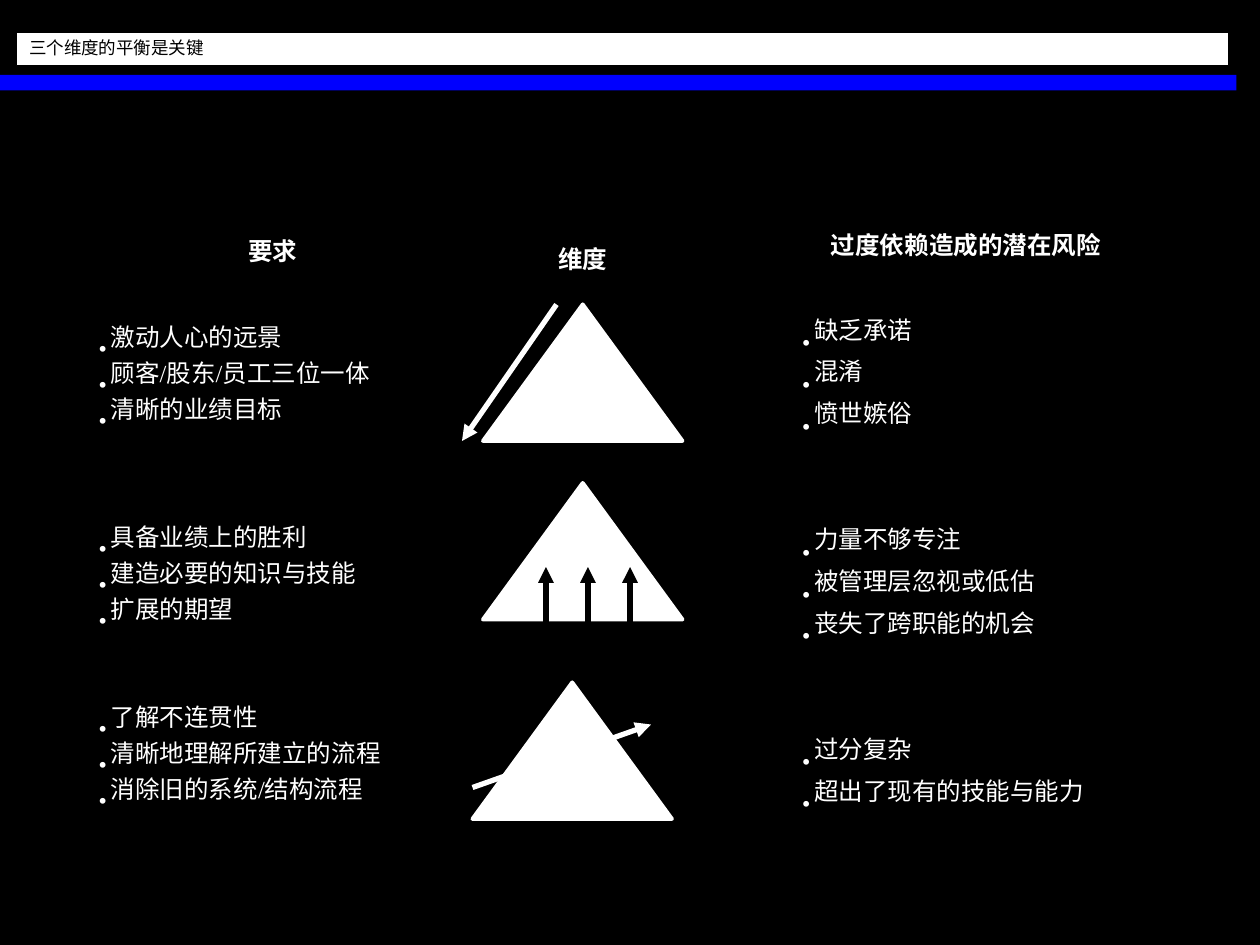
from dataclasses import dataclass

from lxml import etree
from pptx import Presentation
from pptx.dml.color import RGBColor
from pptx.enum import shapes, text
from pptx.oxml import ns
from pptx.util import Pt

BLACK = RGBColor(0x00, 0x00, 0x00)
WHITE = RGBColor(0xFF, 0xFF, 0xFF)
BLUE = RGBColor(0x00, 0x00, 0xFE)
LIST_FONT = "Times New Roman"
TITLE_FONT = "Noto Sans CJK SC"
HANG = 8
ITEM_GAP = 10.5


@dataclass
class Column:
    """A heading with groups of points; group_gaps is the space before each group."""
    left: float
    top: float
    width: float
    height: float
    heading: str
    heading_spacing: float
    item_spacing: float
    groups: list[list[str]]
    group_gaps: list[float]


@dataclass
class Arrow:
    start: tuple[float, float]
    end: tuple[float, float]
    color: RGBColor = WHITE


REQUIREMENTS = Column(
    48, 83.5, 216, 426, "要求", 1.0, 0.6,
    [["激动人心的远景", "顾客/股东/员工三位一体", "清晰的业绩目标"],
     ["具备业绩上的胜利", "建造必要的知识与技能", "扩展的期望"],
     ["了解不连贯性", "清晰地理解所建立的流程", "消除旧的系统/结构流程"]],
    [38.5, 63, 51.6])
RISKS = Column(
    450, 96.5, 204, 402, "过度依赖造成的潜在风险", 0.8, 0.8,
    [["缺乏承诺", "混淆", "愤世嫉俗"],
     ["力量不够专注", "被管理层忽视或低估", "丧失了跨职能的机会"],
     ["过分复杂", "超出了现有的技能与能力"]],
    [34.6, 58.6, 58.6])
PYRAMIDS = [(276, 174), (276, 276), (270, 390)]
ARROWS = [
    Arrow((318, 174), (264, 252)),
    *[Arrow((x, 360), (x, 324), BLACK) for x in (312, 336, 360)],
    Arrow((270, 450), (372, 414)),
]


def apply(target, **values) -> None:
    for name, value in values.items():
        setattr(target, name, value)


def place(shape, left: float, top: float, width: float, height: float) -> None:
    apply(shape, left=Pt(left), top=Pt(top), width=Pt(width), height=Pt(height))


def set_frame(frame, anchor) -> None:
    apply(frame, word_wrap=True, auto_size=text.MSO_AUTO_SIZE.NONE, vertical_anchor=anchor)


def set_bullet(paragraph, bulleted: bool) -> None:
    props = paragraph._p.get_or_add_pPr()
    props.set("marL", str(Pt(HANG)))
    props.set("indent", str(Pt(-HANG)))
    if not bulleted:
        etree.SubElement(props, ns.qn("a:buNone"))
        return
    color = etree.SubElement(props, ns.qn("a:buClr"))
    etree.SubElement(color, ns.qn("a:srgbClr"), val=str(WHITE))
    etree.SubElement(props, ns.qn("a:buSzPct"), val="200000")
    etree.SubElement(props, ns.qn("a:buFont"), typeface=LIST_FONT)
    etree.SubElement(props, ns.qn("a:buChar"), char=".")


def write(paragraph, words: str, spacing: float, before: float = 0, bold: bool = False,
          align=text.PP_ALIGN.LEFT, size: float = 14, name: str = LIST_FONT,
          color: RGBColor = WHITE) -> None:
    apply(paragraph, text=words, line_spacing=spacing, space_before=Pt(before),
          space_after=Pt(0), alignment=align)
    apply(paragraph.font, size=Pt(size), name=name, bold=bold)
    paragraph.font.color.rgb = color


def fill_column(placeholder, column: Column) -> None:
    place(placeholder, column.left, column.top, column.width, column.height)
    frame = placeholder.text_frame
    set_frame(frame, text.MSO_ANCHOR.MIDDLE)
    heading = frame.paragraphs[0]
    set_bullet(heading, False)
    write(heading, column.heading, column.heading_spacing, bold=True,
          align=text.PP_ALIGN.CENTER)
    for points, gap in zip(column.groups, column.group_gaps):
        for index, point in enumerate(points):
            paragraph = frame.add_paragraph()
            set_bullet(paragraph, True)
            write(paragraph, point, column.item_spacing, ITEM_GAP if index else gap)


def add_line(parent, start: tuple[float, float], end: tuple[float, float],
             color: RGBColor, width: float):
    line = parent.add_connector(shapes.MSO_CONNECTOR.STRAIGHT,
                                *[Pt(value) for value in (*start, *end)])
    line.line.color.rgb = color
    line.line.width = Pt(width)
    etree.SubElement(line._element.spPr, ns.qn("a:effectLst"))
    return line


def add_arrow(parent, arrow: Arrow) -> None:
    line = add_line(parent, arrow.start, arrow.end, arrow.color, 3)
    etree.SubElement(line.line._get_or_add_ln(), ns.qn("a:tailEnd"), type="triangle")


def add_pyramid(parent, left: float, top: float) -> None:
    """Draw a triangle with the two lines that part its layers."""
    group = parent.add_group_shape().shapes
    triangle = group.add_shape(shapes.MSO_SHAPE.ISOSCELES_TRIANGLE,
                               Pt(left), Pt(top), Pt(114), Pt(78))
    triangle.shadow.inherit = False
    triangle.fill.solid()
    triangle.fill.fore_color.rgb = WHITE
    triangle.line.color.rgb = WHITE
    triangle.line.width = Pt(2.25)
    for inset, depth in ((36, 30), (18, 54)):
        add_line(group, (left + inset, top + depth), (left + 114 - inset, top + depth),
                 WHITE, 0.75)


def add_title(title) -> None:
    place(title, 9.5, 18.75, 692.5, 18.75)
    title.fill.solid()
    title.fill.fore_color.rgb = WHITE
    title.line.color.rgb = BLACK
    title.line.width = Pt(0.75)
    set_frame(title.text_frame, text.MSO_ANCHOR.TOP)
    write(title.text_frame.paragraphs[0], "三个维度的平衡是关键", 0.9,
          size=10, name=TITLE_FONT, color=BLACK)


def main() -> None:
    deck = Presentation()
    apply(deck, slide_width=Pt(720), slide_height=Pt(540))
    slide = deck.slides.add_slide(deck.slide_layouts.get_by_name("Two Content"))
    slide.background.fill.solid()
    slide.background.fill.fore_color.rgb = BLACK
    canvas = slide.shapes

    add_title(canvas.title)
    rule = canvas.add_shape(shapes.MSO_SHAPE.RECTANGLE, Pt(0), Pt(42.75), Pt(706.5), Pt(9))
    rule.shadow.inherit = False
    rule.fill.solid()
    rule.fill.fore_color.rgb = BLUE
    rule.line.fill.background()

    fill_column(slide.placeholders[1], REQUIREMENTS)
    fill_column(slide.placeholders[2], RISKS)

    dimension = canvas.add_textbox(Pt(252), Pt(135.5), Pt(162), Pt(24.5)).text_frame
    set_frame(dimension, text.MSO_ANCHOR.MIDDLE)
    write(dimension.paragraphs[0], "维度", 1.0, bold=True, align=text.PP_ALIGN.CENTER)

    for left, top in PYRAMIDS:
        add_pyramid(canvas, left, top)
    for arrow in ARROWS:
        add_arrow(canvas, arrow)
    deck.save("out.pptx")


if __name__ == "__main__":
    main()
